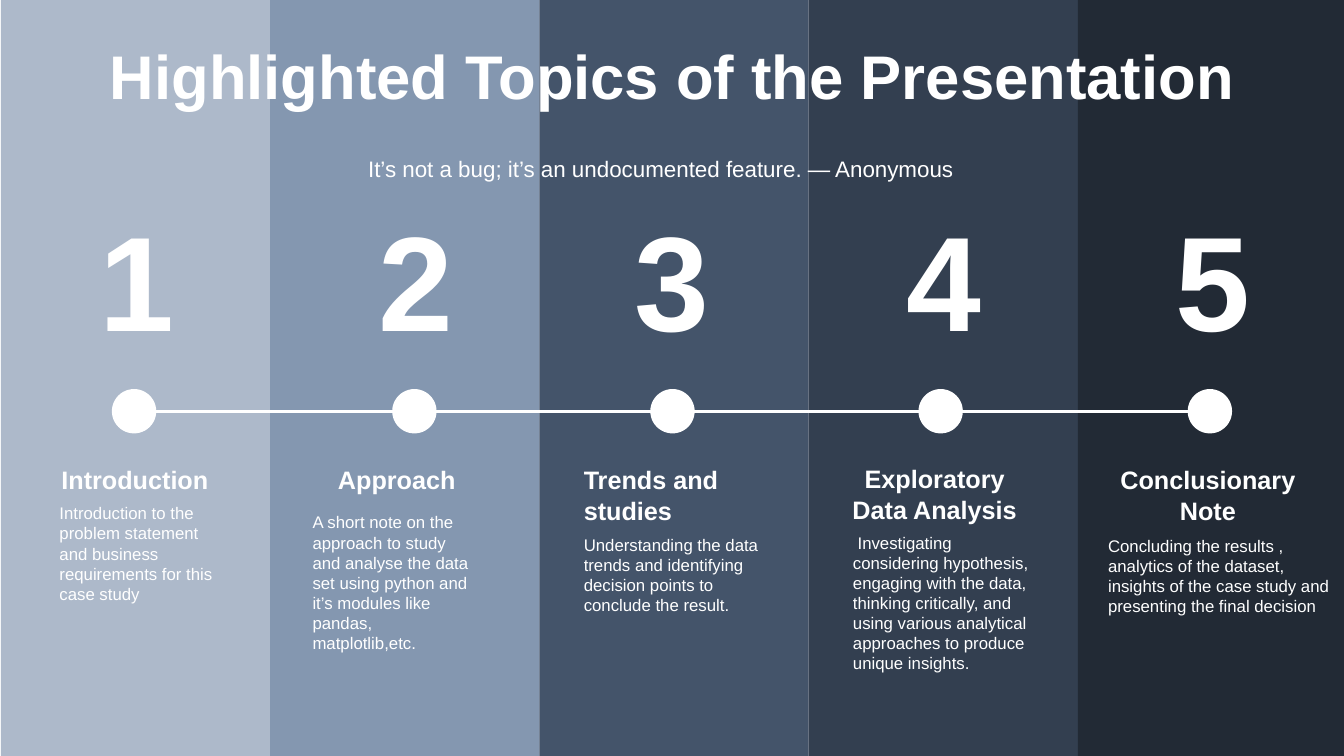
"""Build a five-topic agenda slide with a numbered timeline over shaded columns."""
from itertools import pairwise

from pptx import Presentation
from pptx.dml.color import RGBColor
from pptx.enum.shapes import MSO_CONNECTOR, MSO_SHAPE
from pptx.enum.text import MSO_ANCHOR, MSO_AUTO_SIZE, PP_ALIGN
from pptx.oxml.ns import qn
from pptx.util import Emu, Pt
from lxml.etree import SubElement

PX = 9144
FONT = "Arial"
WHITE = RGBColor(0xFF, 0xFF, 0xFF)
BANDS = [
    RGBColor(0xAD, 0xB9, 0xCA),
    RGBColor(0x84, 0x97, 0xB0),
    RGBColor(0x44, 0x54, 0x6A),
    RGBColor(0x33, 0x3F, 0x50),
    RGBColor(0x22, 0x2A, 0x35),
]
LEFT, CENTER = PP_ALIGN.LEFT, PP_ALIGN.CENTER

TITLE = "Highlighted Topics of the Presentation"
QUOTE = "It’s not a bug; it’s an undocumented feature. ― Anonymous"

TOPICS = [
    {"dot": 133, "number_left": 89,
     "heading": ("Introduction", (61, 461, 153, 30), LEFT),
     "note": ("Introduction to the problem statement and business "
              "requirements for this case study", (59, 499, 153, 101))},
    {"dot": 411, "number_left": 366,
     "heading": ("Approach ", (318, 461, 158, 30), CENTER),
     "note": ("A short note on the approach to study and analyse the data set "
              "using python and it’s modules like pandas, matplotlib,etc.",
              (310, 508, 160, 141))},
    {"dot": 667, "number_left": 619,
     "heading": ("Trends and studies", (579, 461, 176, 61), LEFT),
     "note": ("Understanding the data trends and identifying decision points "
              "to conclude the result.", (579, 530, 190, 81))},
    {"dot": 933, "number_left": 889,
     "heading": ("Exploratory Data Analysis", (831, 460, 192, 61), CENTER),
     "note": (" Investigating considering hypothesis, engaging with the data, "
              "thinking critically, and using various analytical approaches "
              "to produce unique insights.", (846, 528, 181, 141))},
    {"dot": 1200, "number_left": 1156,
     "heading": ("Conclusionary Note", (1099, 461, 198, 61), CENTER),
     "note": ("Concluding the results , analytics of the dataset, insights of "
              "the case study and presenting the final decision",
              (1099, 531, 220, 81))},
]

SLIDE_W, SLIDE_H = 1333, 750
BAND_LEFT, BAND_W = 1, 267
TIMELINE_Y, DOT = 408, 44
NUMBER_TOP, NUMBER_W, NUMBER_H = 191, 95, 172


def px(*lengths):
    return [Emu(length * PX) for length in lengths]


def add_solid(slide, preset, box, color):
    solid = slide.shapes.add_shape(preset, *px(*box))
    solid.shadow.inherit = False
    solid.fill.solid()
    solid.fill.fore_color.rgb = color
    solid.line.fill.background()


def add_text(slide, text, box, size, bold=False, align=LEFT, inset=(0, 0), wrap=True):
    frame = slide.shapes.add_textbox(*px(*box)).text_frame
    frame.word_wrap = wrap
    frame.auto_size = MSO_AUTO_SIZE.SHAPE_TO_FIT_TEXT
    frame.margin_left = frame.margin_right = Emu(inset[0] * PX)
    frame.margin_top = frame.margin_bottom = Emu(inset[1] * PX)
    frame.text = text
    paragraph = frame.paragraphs[0]
    paragraph.alignment = align
    font = paragraph.runs[0].font
    font.name, font.size, font.bold = FONT, Pt(size), bold
    font.color.rgb = WHITE
    return frame


def add_timeline(slide):
    centers = [topic["dot"] for topic in TOPICS]
    for start, end in pairwise(centers):
        link = slide.shapes.add_connector(
            MSO_CONNECTOR.STRAIGHT, *px(start, TIMELINE_Y, end, TIMELINE_Y))
        link.line.color.rgb = WHITE
        link.line.width = Pt(2.25)
        SubElement(link.element.spPr, qn("a:effectLst"))
    for center in centers:
        add_solid(slide, MSO_SHAPE.OVAL,
                  (center - DOT // 2, TIMELINE_Y - DOT // 2, DOT, DOT), WHITE)


def add_topic(slide, number, topic):
    heading, heading_box, align = topic["heading"]
    note, note_box = topic["note"]
    add_text(slide, note, note_box, 12)
    add_text(slide, heading, heading_box, 18, bold=True, align=align)
    add_text(slide, str(number), (topic["number_left"], NUMBER_TOP, NUMBER_W, NUMBER_H),
             96, bold=True, inset=(10, 5), wrap=False)


def main():
    deck = Presentation()
    deck.slide_width, deck.slide_height = px(SLIDE_W, SLIDE_H)
    slide = deck.slides.add_slide(deck.slide_layouts[6])
    for column, color in enumerate(BANDS):
        add_solid(slide, MSO_SHAPE.RECTANGLE,
                  (BAND_LEFT + column * BAND_W, 0, BAND_W, SLIDE_H), color)
    add_timeline(slide)
    for number, topic in enumerate(TOPICS, start=1):
        add_topic(slide, number, topic)
    title = add_text(slide, TITLE, (47, 49, 1241, 59), 44, bold=True,
                     align=CENTER, inset=(10, 5))
    title.auto_size = MSO_AUTO_SIZE.NONE
    title.vertical_anchor = MSO_ANCHOR.MIDDLE
    title.paragraphs[0].line_spacing = 0.9
    add_text(slide, QUOTE, (256, 147, 799, 40), 16, align=CENTER, inset=(13, 7))
    deck.save("out.pptx")


if __name__ == "__main__":
    main()
